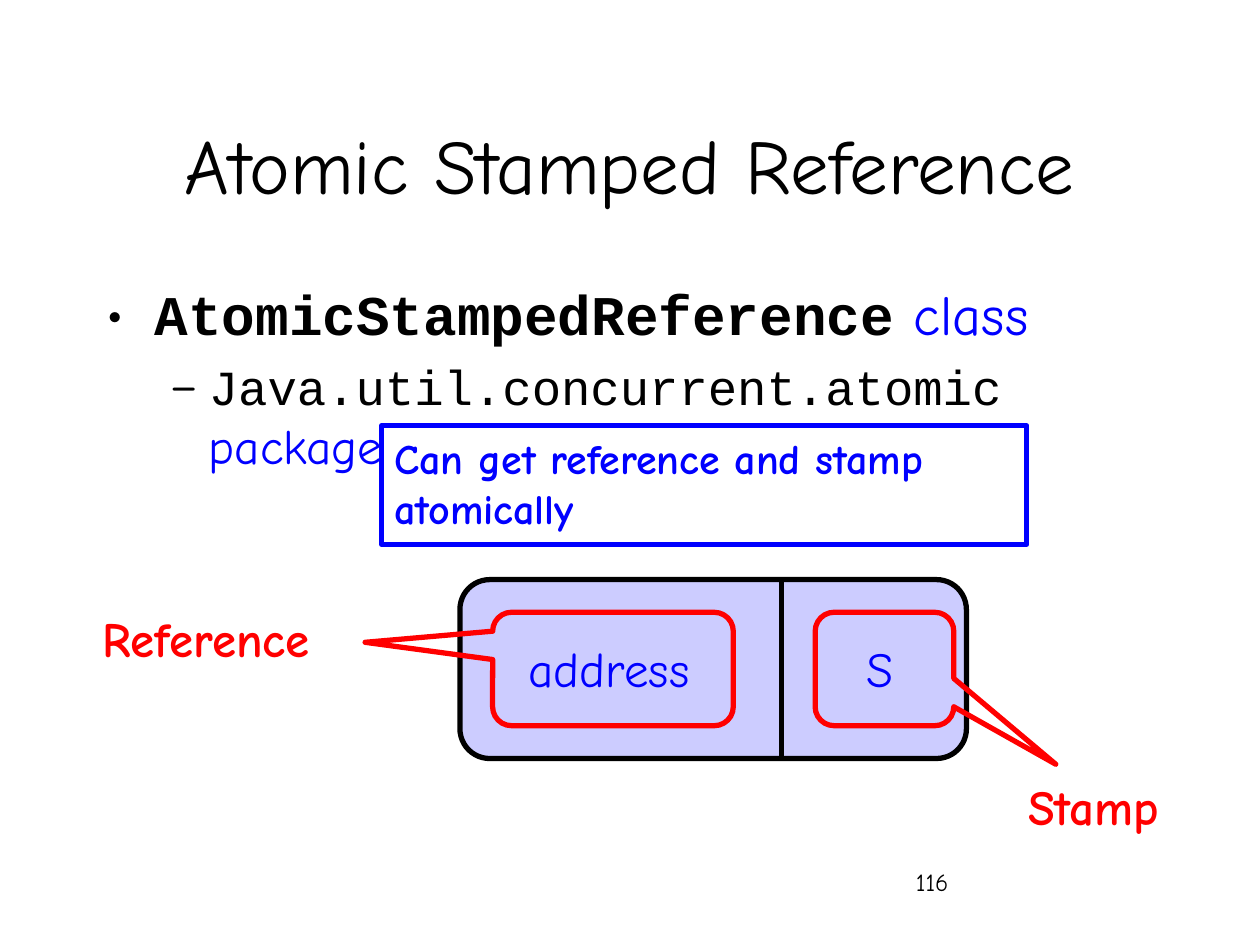
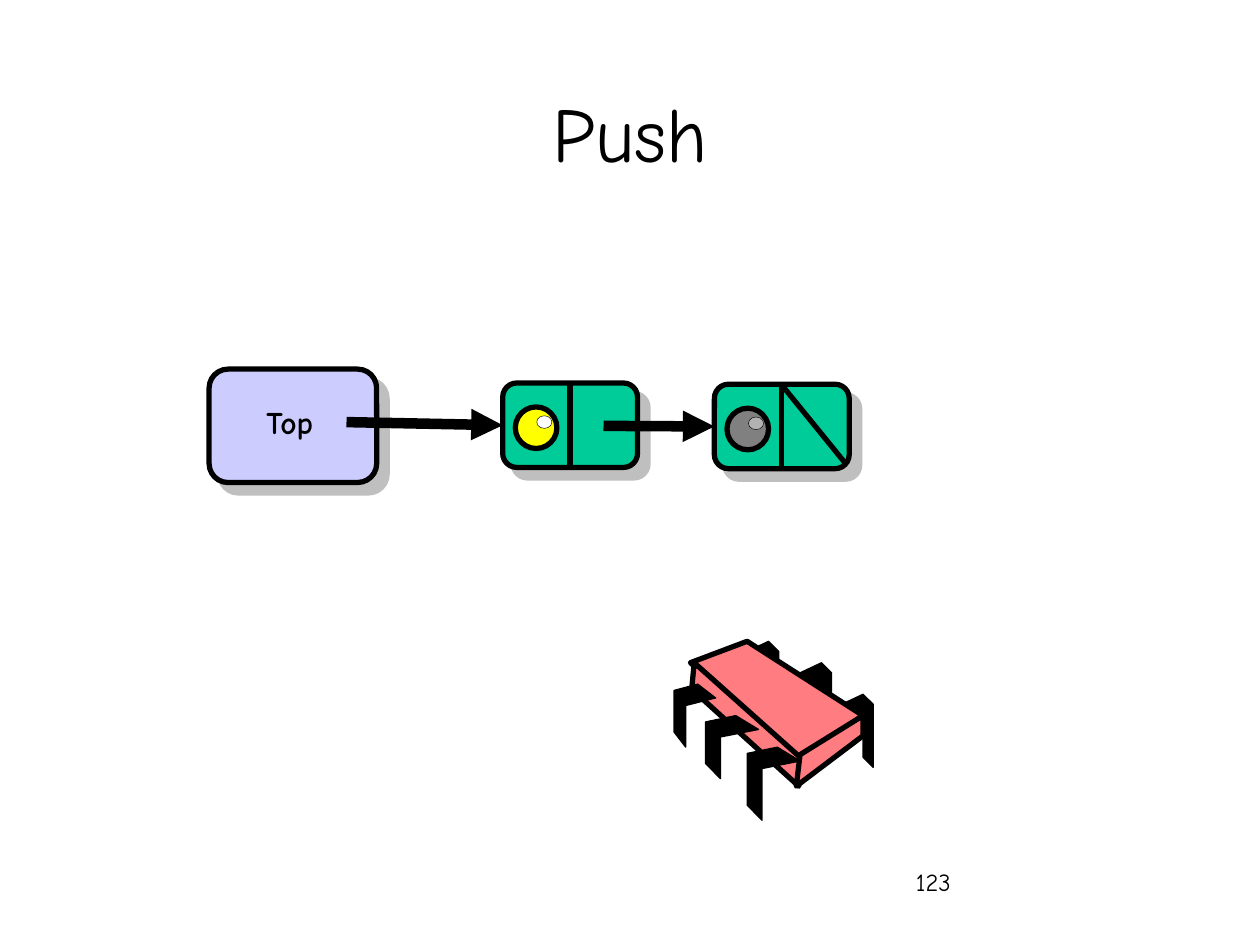
"""Builds two slides on stamped references and a lock-free stack."""
from lxml import etree
from pptx import Presentation
from pptx import util as u
from pptx.dml import color
from pptx.enum import shapes, text
from pptx.oxml import ns

HUES = dict(black="000000", white="FFFFFF", blue="0000FF", red="FF0000",
            lilac="CCCCFF", green="00CC99", yellow="FFFF00", gray="808080",
            silver="B2B2B2", pink="FF7C80")
FORM = shapes.MSO_SHAPE
LEFT, MID = text.PP_ALIGN.LEFT, text.PP_ALIGN.CENTER
HAND, CODE = "Comic Neue", "Courier New"


def sub(node, tag, **keys):
    return etree.SubElement(node, ns.qn(tag), **keys)


class Deck:
    def __init__(self):
        self.show = Presentation()
        self.show.slide_width, self.show.slide_height = u.Inches(10), u.Inches(7.5)

    def page(self, title, top, number):
        slide = self.show.slides.add_slide(self.show.slide_layouts[6])
        slide.background.fill.solid()
        slide.background.fill.fore_color.rgb = self.hue("white")
        self.root = self.pen = slide.shapes
        self.label(title, 0.75, top, 8.5, 1.25, 44, anchor=text.MSO_ANCHOR.MIDDLE)
        self.label(number, 7.17, 6.83, 2.08, 0.5, 14, align=LEFT)

    def group(self):
        self.pen = self.root.add_group_shape().shapes

    def ungroup(self):
        self.pen = self.root

    def hue(self, name):
        return color.RGBColor.from_string(HUES[name])

    def run(self, para, words, size, tint="black", bold=False, face=HAND):
        run = para.add_run()
        run.text = words
        font = run.font
        font.name, font.size, font.bold = face, u.Pt(size), bold
        font.color.rgb = self.hue(tint)

    def label(self, words, x, y, w, h, size, tint="black", bold=False,
              align=MID, anchor=text.MSO_ANCHOR.TOP, wrap=True):
        frame = self.pen.add_textbox(*map(u.Inches, (x, y, w, h))).text_frame
        frame.word_wrap, frame.vertical_anchor = wrap, anchor
        frame.paragraphs[0].alignment = align
        self.run(frame.paragraphs[0], words, size, tint, bold)

    def points(self, x, y, w, h, items):
        frame = self.pen.add_textbox(*map(u.Inches, (x, y, w, h))).text_frame
        frame.word_wrap = True
        for level, (mark, edge, hang, size, bold, code, rest) in enumerate(items):
            para = frame.add_paragraph() if level else frame.paragraphs[0]
            para.level = level
            props = para._p.get_or_add_pPr()
            props.set("marL", str(u.Inches(edge)))
            props.set("indent", str(-u.Inches(hang)))
            if level:
                para.space_before = u.Pt(size * 0.2)
            sub(props, "a:buFont", typeface=HAND)
            sub(props, "a:buChar", char=mark)
            self.run(para, code, size, bold=bold, face=CODE)
            self.run(para, rest, size, "blue")

    def paint(self, shape, fill, line, width):
        shape.shadow.inherit = False
        if fill:
            shape.fill.solid()
            shape.fill.fore_color.rgb = self.hue(fill)
        else:
            shape.fill.background()
        shape.line.color.rgb = self.hue(line)
        shape.line.width = u.Pt(width)

    def box(self, form, x, y, w, h, fill=None, line="black", width=3, bends=(), shade=False):
        shape = self.pen.add_shape(form, *map(u.Inches, (x, y, w, h)))
        for spot, bend in enumerate(bends):
            shape.adjustments[spot] = bend
        self.paint(shape, fill, line, width)
        if shade:
            glow = sub(shape._element.spPr.find(ns.qn("a:effectLst")), "a:outerShdw",
                       blurRad="0", dist=str(u.Pt(8.5)), dir="2700000",
                       algn="ctr", rotWithShape="0")
            tone = sub(glow, "a:srgbClr", val=HUES["gray"])
            sub(tone, "a:alpha", val="50000")
        return shape

    def line(self, x1, y1, x2, y2, width=3, head=False):
        link = self.pen.add_connector(shapes.MSO_CONNECTOR.STRAIGHT,
                                      *map(u.Inches, (x1, y1, x2, y2)))
        link.line.color.rgb = self.hue("black")
        link.line.width = u.Pt(width)
        if head:
            sub(link.line._get_or_add_ln(), "a:tailEnd", type="triangle")
        sub(link._element.spPr, "a:effectLst")
        return link

    def arrow(self, x, y, node):
        link = self.line(x, y, x + 1, y, 6, head=True)
        link.end_connect(node, 1)

    def poly(self, spots, fill="black", width=0.75):
        spots = [(u.Inches(x), u.Inches(y)) for x, y in spots]
        maker = self.pen.build_freeform(*spots[0])
        maker.add_line_segments(spots[1:], close=True)
        self.paint(maker.convert_to_shape(), fill, "black", width)

    def node(self, x, y, ball, shine):
        cell = self.box(FORM.ROUNDED_RECTANGLE, x, y, 1.07, 0.67, "green", shade=True)
        split = self.line(x + 0.53, y, x + 0.53, y + 0.67)
        split.begin_connect(cell, 0)
        split.end_connect(cell, 2)
        self.group()
        self.box(FORM.OVAL, x + 0.1, y + 0.19, 0.33, 0.33, ball)
        self.box(FORM.OVAL, x + 0.27, y + 0.26, 0.12, 0.1, shine, width=0.25)
        self.ungroup()
        return cell

    def rear(self, x, y, drop):
        self.poly([(x, y + 0.08), (x + 0.17, y), (x + 0.25, y + 0.08),
                   (x + 0.25, y + drop), (x + 0.17, y + drop - 0.08),
                   (x + 0.17, y + 0.17), (x, y + 0.25)])

    def front(self, x, y, wide, drop):
        bend = x + 0.28 * wide
        self.poly([(x + 0.57 * wide, y), (x + wide, y + 0.11), (bend, y + 0.17),
                   (bend, y + drop), (x, y + drop - 0.12), (x, y + 0.05)])

    def chip(self):
        self.group()
        for pin in ((6.68, 5.51, 0.58), (6.35, 5.26, 0.58), (5.93, 5.09, 0.5)):
            self.rear(*pin)
        for face in (
            [(5.93, 5.09), (6.85, 5.68), (6.34, 6.02), (5.48, 5.26)],
            [(5.51, 5.26), (6.35, 6.01), (6.34, 6.24), (5.49, 5.47)],
            [(6.85, 5.68), (6.85, 5.84), (6.32, 6.24), (6.35, 5.99)],
        ):
            self.poly(face, "pink", 3)
        for pin in ((5.93, 5.93, 0.42, 0.58), (5.6, 5.68, 0.42, 0.5), (5.35, 5.43, 0.33, 0.5)):
            self.front(*pin)
        self.ungroup()


def stamped(deck):
    deck.page("Atomic Stamped Reference", 0.67, "116")
    deck.points(0.75, 2.17, 8.5, 4.5, [
        ("•", 0.38, 0.38, 32, True, "AtomicStampedReference", " class"),
        ("–", 0.81, 0.31, 28, False, "Java.util.concurrent.atomic", " package")])
    deck.box(FORM.ROUNDED_RECTANGLE, 3.65, 4.6, 4.02, 1.42, "lilac")
    deck.line(6.2, 4.6, 6.2, 6.01)
    for words, x in (("address", 3.67), ("S", 5.82)):
        deck.label(words, x, 5.02, 2.33, 0.57, 28, "blue")
    for x, wide, bends in ((6.47, 1.1, (1.236, 0.84, 0.167)), (3.91, 1.91, (-1.03, -0.235, 0.167))):
        deck.box(FORM.ROUNDED_RECTANGULAR_CALLOUT, x, 4.86, wide, 0.9, line="red", bends=bends)
    for words, x, y, wide in (("Stamp", 7.68, 6.11, 2), ("Reference", 0.36, 4.78, 2.55)):
        deck.label(words, x, y, wide, 0.57, 28, "red", True)
    note = deck.box(FORM.RECTANGLE, 3.03, 3.38, 5.12, 0.94, "white", "blue").text_frame
    note.word_wrap, note.vertical_anchor = True, text.MSO_ANCHOR.TOP
    note.paragraphs[0].alignment = LEFT
    deck.run(note.paragraphs[0], "Can get reference and stamp atomically", 24, "blue", True)


def push(deck):
    deck.page("Push", 0.42, "123")
    last = deck.node(5.67, 3.05, "gray", "silver")
    deck.line(6.2, 3.05, 6.72, 3.69)
    deck.box(FORM.ROUNDED_RECTANGLE, 1.66, 2.93, 1.33, 0.9, "lilac", shade=True)
    deck.label("Top", 1.98, 3.15, 0.64, 0.4, 18, bold=True, wrap=False)
    first = deck.node(3.99, 3.04, "yellow", "white")
    deck.arrow(2.75, 3.35, first)
    deck.arrow(4.79, 3.38, last)
    deck.chip()


def main():
    deck = Deck()
    stamped(deck)
    push(deck)
    deck.show.save("out.pptx")


if __name__ == "__main__":
    main()
